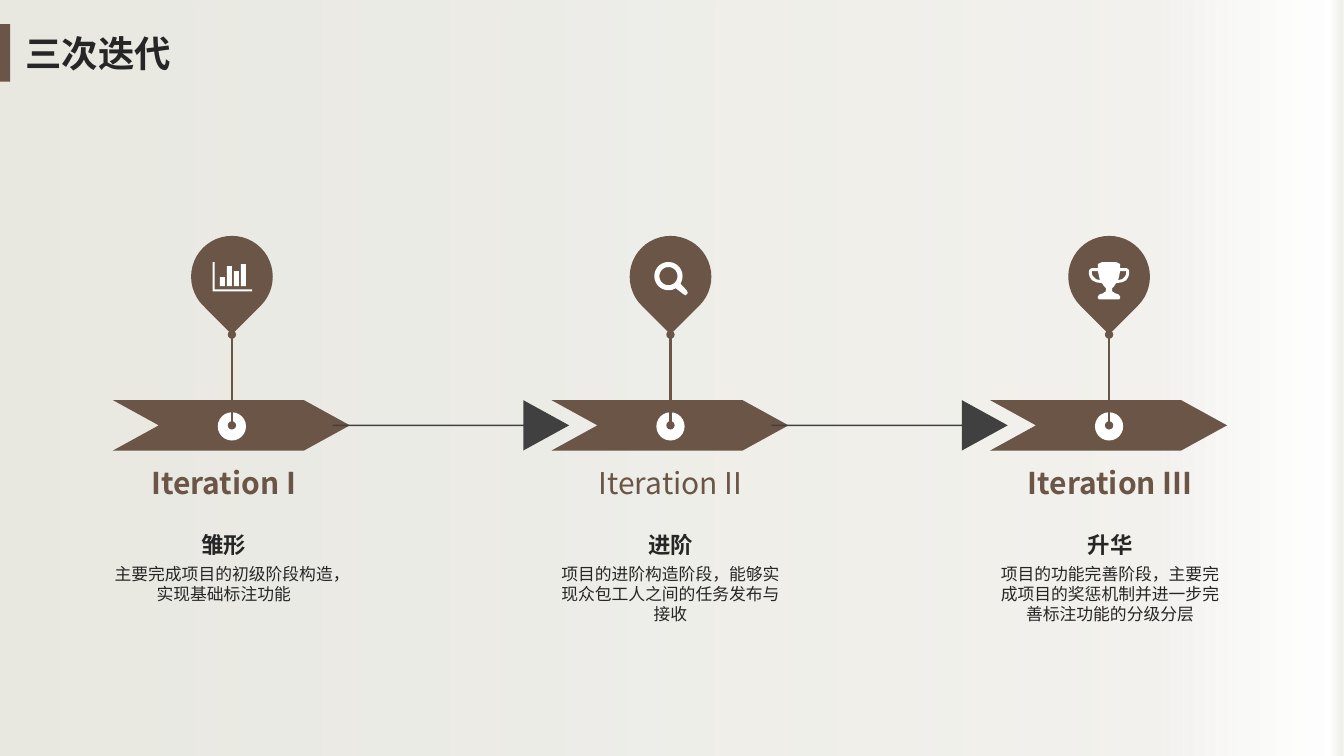
import math
from lxml import etree
from pptx import Presentation
from pptx import util as u
from pptx.dml.color import RGBColor
from pptx.enum import shapes, text
from pptx.oxml import parse_xml
from pptx.oxml.ns import nsdecls, qn

# Content: label, label width, bold label, heading, description, text centre, icon
TITLE = "三次迭代"
STAGES = [
    ("Iteration I", 1.49, True, "雏形",
     "主要完成项目的初级阶段构造，实现基础标注功能", 2.22, "bars"),
    ("Iteration II", 1.48, False, "进阶",
     "项目的进阶构造阶段，能够实现众包工人之间的任务发布与接收", 6.65, "lens"),
    ("Iteration III", 1.69, True, "升华",
     "项目的功能完善阶段，主要完成项目的奖惩机制并进一步完善标注功能的分级分层", 11.01, "cup"),
]
THEME = dict(
    font="Noto Sans CJK SC", brown="6A5546", dark="404040", ink="262626", white="FFFFFF",
    title=26, label=21.4, heading=16, body=12,
    backdrop=[(0, "E7E7DF", 94), (86, "F0EFEB", 85), (99, "FFFFFF", 62), (100, "EBEBE5", 100)],
)

# Layout
LEFT, STEP, ARROW_W, ARROW_H, ARROW_Y = 1.12, 4.35, 2.35, 0.5, 3.97
AXIS = 1.18
PIN, PIN_Y, STEM_Y, DOT = 0.81, 2.34, 3.32, 0.28
I = u.Inches
SHAPE = shapes.MSO_SHAPE


# Icon outlines, relative to the pin axis and the icon top
def rect(x, y, w, h):
    return [(x, y), (x + w, y), (x + w, y + h), (x, y + h)]


def arc(cx, cy, radius, start, end, steps=40):
    angles = [math.radians(start + (end - start) * k / steps) for k in range(steps + 1)]
    return [(cx + radius * math.cos(a), cy + radius * math.sin(a)) for a in angles]


def mirror(points):
    return [(-x, y) for x, y in reversed(points)]


AXES = [(-0.19, 0), (-0.17, 0), (-0.17, 0.27), (0.2, 0.27), (0.2, 0.29), (-0.19, 0.29)]
BARS = [rect(-0.12 + 0.07 * k, 0.24 - h, 0.05, h) for k, h in enumerate([0.09, 0.2, 0.15, 0.22])]
HANDLE = [(0.16, 0.28), (0.17, 0.3), (0.17, 0.31), (0.16, 0.32), (0.15, 0.33), (0.13, 0.32)]
CUP = [(0.07, 0), (0.09, 0.01), (0.11, 0.02), (0.11, 0.06), (0.17, 0.06), (0.19, 0.07),
       (0.2, 0.09), (0.2, 0.12), (0.19, 0.15), (0.17, 0.18), (0.13, 0.2), (0.07, 0.21),
       (0.05, 0.24), (0.03, 0.26), (0.03, 0.29), (0.06, 0.31), (0.09, 0.32), (0.11, 0.34),
       (0.11, 0.36), (0.1, 0.37)]
GRIP = [(0.11, 0.09), (0.17, 0.09), (0.17, 0.12), (0.16, 0.14), (0.13, 0.17), (0.09, 0.18),
        (0.1, 0.14)]
ICONS = {
    "bars": [AXES] + BARS,
    "lens": [arc(-0.02, 0.14, 0.14, 59, 392) + HANDLE, arc(-0.02, 0.14, 0.09, 360, 0)],
    "cup": [CUP + mirror(CUP), GRIP, mirror(GRIP)],
}

prs = Presentation()
prs.slide_width, prs.slide_height = I(13.33), I(7.5)
s = prs.slides.add_slide(prs.slide_layouts[5])


def color(name):
    return RGBColor.from_string(THEME[name])


def paint(sp, fill):
    sp.shadow.inherit = False
    sp.fill.solid()
    sp.fill.fore_color.rgb = color(fill)
    sp.line.fill.background()
    return sp


def add_shape(kind, x, y, w, h, fill, adj=()):
    sp = s.shapes.add_shape(kind, I(x), I(y), I(w), I(h))
    for k, value in enumerate(adj):
        sp.adjustments[k] = value
    return paint(sp, fill)


def write(sp, words, size, fill="ink", bold=False, align="CENTER", anchor="TOP",
          wrap=True, inset=(0, 0)):
    tf = sp.text_frame
    tf.word_wrap = wrap
    tf.auto_size = text.MSO_AUTO_SIZE.SHAPE_TO_FIT_TEXT
    tf.vertical_anchor = text.MSO_ANCHOR[anchor]
    tf.margin_left = tf.margin_right = I(inset[0])
    tf.margin_top = tf.margin_bottom = I(inset[1])
    p = tf.paragraphs[0]
    p.alignment = text.PP_ALIGN[align]
    r = p.add_run()
    r.text = words
    r.font.size, r.font.bold = u.Pt(THEME[size]), bold
    r.font.color.rgb = color(fill)
    r.font.name = THEME["font"]
    etree.SubElement(r.font._element, qn("a:ea")).set("typeface", THEME["font"])


def add_text(center, y, w, h, words, size, **fmt):
    write(s.shapes.add_textbox(I(center - w / 2), I(y), I(w), I(h)), words, size, **fmt)


def add_stem(x):
    line = s.shapes.add_connector(shapes.MSO_CONNECTOR.STRAIGHT,
                                  I(x), I(STEM_Y), I(x), I(STEM_Y + 0.9))
    line.line.color.rgb = color("brown")
    line.line.width = u.Pt(1.5)
    ln = line.line._get_or_add_ln()
    for end in ("a:headEnd", "a:tailEnd"):
        etree.SubElement(ln, qn(end)).set("type", "oval")
    etree.SubElement(line._element.spPr, qn("a:effectLst"))


def add_icon(contours, x, y):
    outlines = [[(I(x + dx), I(y + dy)) for dx, dy in c] for c in contours]
    fb = s.shapes.build_freeform(*outlines[0][0])
    for k, points in enumerate(outlines):
        if k:
            fb.move_to(*points[0])
        fb.add_line_segments(points[1:], close=True)
    paint(fb.convert_to_shape(), "white")


# Backdrop, placed behind the title
backdrop = add_shape(SHAPE.RECTANGLE, 0, 0, 13.33, 7.5, "white")
stops = "".join(
    f'<a:gs pos="{pos * 1000}"><a:srgbClr val="{c}"><a:alpha val="{alpha * 1000}"/></a:srgbClr></a:gs>'
    for pos, c, alpha in THEME["backdrop"])
spPr = backdrop.element.spPr
spPr.replace(spPr.find(qn("a:solidFill")), parse_xml(
    f'<a:gradFill {nsdecls("a")}><a:gsLst>{stops}</a:gsLst><a:lin ang="0" scaled="0"/></a:gradFill>'))
s.shapes.element.insert(2, backdrop.element)

# Title and its marker
add_shape(SHAPE.RECTANGLE, 0, 0.24, 0.1, 0.57, "brown")
title = s.shapes.title
title.left, title.top, title.width, title.height = I(0.15), I(0.26), I(3.91), I(0.54)
write(title, TITLE, "title", bold=True, align="LEFT", inset=(0.1, 0.05))

# Stages, with an arrow to the next one
for k, (label, label_w, bold, heading, body, center, icon) in enumerate(STAGES):
    x = LEFT + k * STEP
    axis = x + AXIS
    add_shape(SHAPE.NOTCHED_RIGHT_ARROW, x, ARROW_Y, ARROW_W, ARROW_H, "brown", (1, 0.91))
    add_shape(SHAPE.OVAL, axis - DOT / 2, 4.09, DOT, DOT, "white")
    if k < len(STAGES) - 1:
        add_shape(SHAPE.NOTCHED_RIGHT_ARROW, x + STEP / 2, ARROW_Y, ARROW_W, ARROW_H,
                  "dark", (0.033, 0.91))
    add_stem(axis)
    pin = add_shape(SHAPE.TEAR, axis - PIN / 2, PIN_Y, PIN, PIN, "brown")
    pin.rotation = 135
    add_icon(ICONS[icon], axis, 2.6)
    add_text(center, 4.61, label_w, 0.36, label, "label", fill="brown", bold=bold,
             anchor="MIDDLE", wrap=False)
    add_text(center, 5.27, 0.45, 0.27, heading, "heading", bold=True, wrap=False)
    add_text(center, 5.59, 2.2, 0.4 if k == 0 else 0.61, body, "body")

prs.save("out.pptx")
